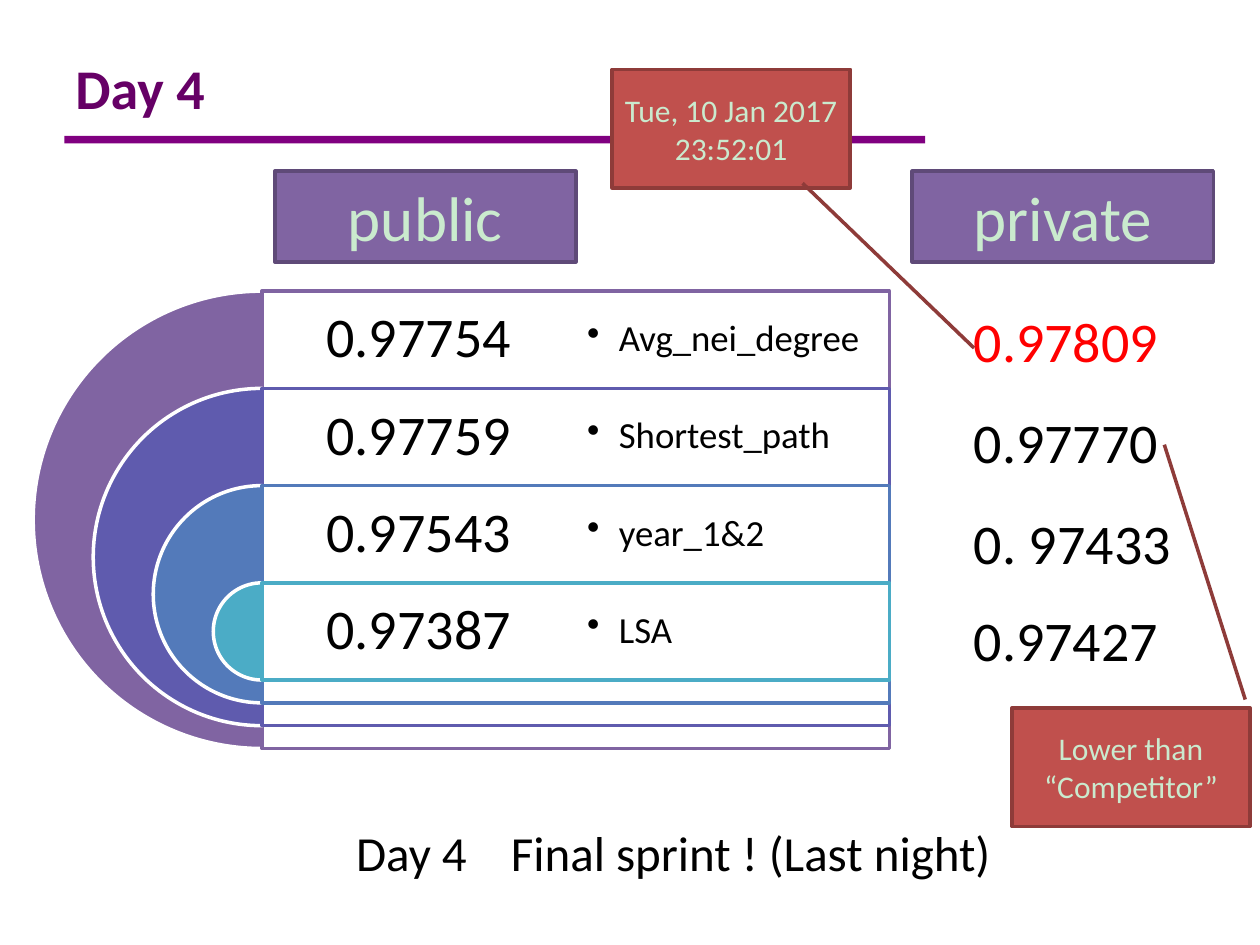
from dataclasses import dataclass
from lxml import etree
from pptx import Presentation
from pptx import util as u
from pptx.dml.color import RGBColor
from pptx.enum import shapes, text
from pptx.oxml import ns


@dataclass(frozen=True)
class Theme:
    font: str = "Calibri"
    white: str = "FFFFFF"
    black: str = "000000"
    pale: str = "CAEACE"
    title: str = "660066"
    rule: str = "800080"
    purple: str = "8064A2"
    purple_edge: str = "5F4A78"
    red: str = "C0504D"
    red_edge: str = "8E3B39"
    highlight: str = "FF0000"
    rings: tuple = ("8064A2", "5F5BAE", "537ABA", "4BACC6")
    header_size: int = 36
    score_size: int = 32
    closing_size: int = 28
    feature_size: int = 21
    note_size: int = 18


theme = Theme()
presentation = Presentation()
presentation.slide_width, presentation.slide_height = u.Cm(25.4), u.Cm(19.05)
slide = presentation.slides.add_slide(presentation.slide_layouts[6])
slide.background.fill.solid()
slide.background.fill.fore_color.rgb = RGBColor.from_string(theme.white)


def add_block(kind, left, top, width, height, fill, edge=None):
    shape = slide.shapes.add_shape(kind, u.Cm(left), u.Cm(top), u.Cm(width), u.Cm(height))
    shape.shadow.inherit = False
    shape.fill.solid()
    shape.fill.fore_color.rgb = RGBColor.from_string(fill)
    if edge:
        shape.line.color.rgb = RGBColor.from_string(edge)
        shape.line.width = u.Pt(2)
    else:
        shape.line.fill.background()
    return shape


def write(lines, size, color, shape=None, box=None, align=text.PP_ALIGN.LEFT,
          anchor=text.MSO_ANCHOR.MIDDLE, bold=False):
    shape = shape or slide.shapes.add_textbox(*map(u.Cm, box))
    frame = shape.text_frame
    frame.word_wrap = True
    frame.vertical_anchor = anchor
    for index, line in enumerate(lines):
        paragraph = frame.add_paragraph() if index else frame.paragraphs[0]
        paragraph.alignment = align
        run = paragraph.add_run()
        run.text = line
        run.font.name, run.font.size, run.font.bold = theme.font, u.Pt(size), bold
        run.font.color.rgb = RGBColor.from_string(color)
    return frame


add_block(shapes.MSO_SHAPE.RECTANGLE, 1.3, 2.74, 17.35, 0.15, theme.rule)
write(["Day 4"], theme.score_size, theme.title, box=(1.27, 0.76, 22.86, 2), bold=True)

center, ring_top, row_height, ring_step = 5.28, 5.87, 1.96, 2.42
panel_width = 12.65
half = panel_width / 2
rows = [
    ("0.97754", "Avg_nei_degree"),
    ("0.97759", "Shortest_path"),
    ("0.97543", "year_1&2"),
    ("0.97387", "LSA"),
]
for index, ((score, feature), color) in enumerate(zip(rows, theme.rings)):
    top = ring_top + index * row_height
    diameter = row_height + ring_step * (len(rows) - 1 - index)
    pie = add_block(shapes.MSO_SHAPE.PIE, center - diameter / 2, top, diameter, diameter,
                    color, theme.white)
    pie.adjustments[0], pie.adjustments[1] = 54, 162
    add_block(shapes.MSO_SHAPE.RECTANGLE, center, top, panel_width, diameter,
              theme.white, color)
    score_frame = write([score], theme.score_size, theme.black,
                        box=(center, top, half, row_height), align=text.PP_ALIGN.CENTER)
    score_frame.paragraphs[0].line_spacing = 0.9

    feature_frame = write([feature], theme.feature_size, theme.black,
                          box=(center + half, top, half, row_height))
    feature_frame.margin_left = feature_frame.margin_right = u.Cm(0.23)
    paragraph = feature_frame.paragraphs[0]
    paragraph.line_spacing = 0.9
    properties = paragraph._p.get_or_add_pPr()
    properties.set("marL", str(u.Cm(0.64)))
    properties.set("indent", str(-u.Cm(0.64)))
    etree.SubElement(properties, ns.qn("a:buChar"), char="•")

for header, left in (("public", 5.54), ("private", 18.39)):
    shape = add_block(shapes.MSO_SHAPE.RECTANGLE, left, 3.45, 6.07, 1.83,
                      theme.purple, theme.purple_edge)
    write([header], theme.header_size, theme.pale, shape=shape, align=text.PP_ALIGN.CENTER)

private_scores = [
    ("0.97809", 6.05, theme.highlight),
    ("0.97770", 8.1, theme.black),
    ("0. 97433", 10.13, theme.black),
    ("0.97427", 12.09, theme.black),
]
for score, top, color in private_scores:
    write([score], theme.score_size, color, box=(19.38, top, 5.05, 1.63),
          anchor=text.MSO_ANCHOR.TOP)

callouts = [
    (["Tue, 10 Jan 2017 23:52:01"], 12.34, 1.4, (0.96, 0.8, 2.35, 1.52)),
    (["Lower than", "“Competitor”"], 20.4, 14.27, (-2.22, 0.64, -0.07, 0.98)),
]
for lines, left, top, leader in callouts:
    shape = add_block(shapes.MSO_SHAPE.LINE_CALLOUT_1, left, top, 4.8, 2.39,
                      theme.red, theme.red_edge)
    for index, value in enumerate(leader):
        shape.adjustments[index] = value
    write(lines, theme.note_size, theme.pale, shape=shape, align=text.PP_ALIGN.CENTER)

closing = write(["Day 4\tFinal sprint ! (Last night)"], theme.closing_size, theme.black,
                box=(6.93, 16.46, 13.49, 1.45), anchor=text.MSO_ANCHOR.TOP)
tabs = etree.SubElement(closing.paragraphs[0]._p.get_or_add_pPr(), ns.qn("a:tabLst"))
etree.SubElement(tabs, ns.qn("a:tab"), pos=str(u.Cm(3.12)), algn="l")

presentation.save("out.pptx")
